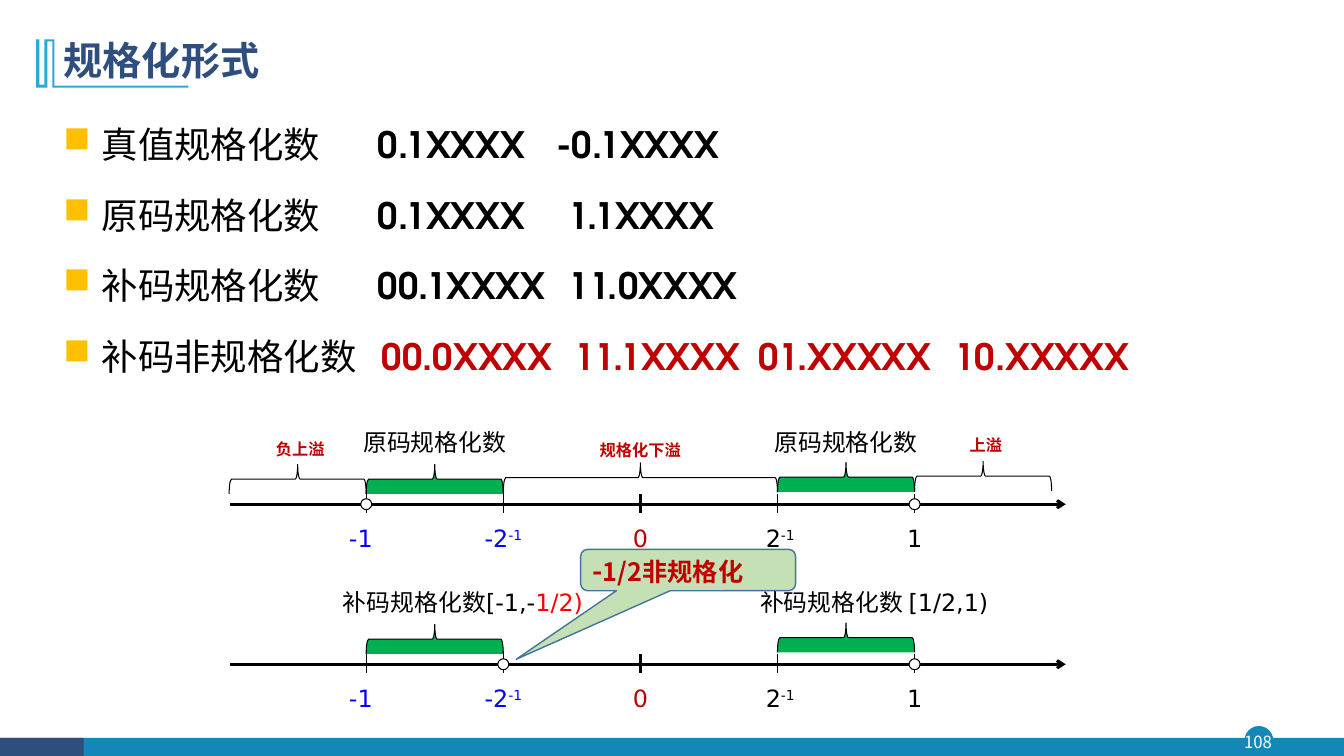
from dataclasses import dataclass

import pptx
import pptx.dml.color
import pptx.enum.shapes
import pptx.enum.text
import pptx.oxml.ns
import pptx.util
from lxml import etree

Align = pptx.enum.text.PP_ALIGN
Anchor = pptx.enum.text.MSO_ANCHOR
Preset = pptx.enum.shapes.MSO_SHAPE


@dataclass(frozen=True)
class Theme:
    blue: str = "1387B7"
    navy: str = "2E4E7E"
    sky: str = "28A9D6"
    amber: str = "FFC000"
    black: str = "000000"
    white: str = "FFFFFF"
    red: str = "C00000"
    bright_red: str = "FF0000"
    negative: str = "0000FF"
    green: str = "00B050"
    callout: str = "C5E0B4"
    callout_edge: str = "43739E"
    sans: str = "Noto Sans CJK SC"
    display: str = "TeX Gyre Adventor"
    plain: str = "DejaVu Sans"
    title: float = 28
    body: float = 26
    note: float = 20
    callout_text: float = 18
    label: float = 17
    page_number: float = 12
    thin: float = 0.75
    edge: float = 1
    thick: float = 2


@dataclass(frozen=True)
class Words:
    text: str
    font: str
    size: float
    colour: str = "000000"
    bold: bool = False
    raised: bool = False


@dataclass(frozen=True)
class Row:
    name: str
    codes: tuple[str, ...]
    stops: tuple[float, ...]
    colour: str


@dataclass(frozen=True)
class Tick:
    value: float
    label: tuple[Words, ...]
    width: float = 0.75
    nudge: float = 0


@dataclass(frozen=True)
class Brace:
    start: float
    end: float
    rise: float
    caption: tuple[Words, ...]
    caption_rise: float
    caption_width: float
    fill: str | None = None
    nudge: float = 0


@dataclass(frozen=True)
class NumberLine:
    level: float
    open_points: tuple[float, ...]
    braces: tuple[Brace, ...]


# Lengths are percentages of the slide's width and height
THEME = Theme()
WIDTH, HEIGHT = pptx.util.Inches(13.33), pptx.util.Inches(7.5)
ZERO, UNIT = 47.65, 20.4


def across(share: float) -> int:
    return round(WIDTH * share / 100)


def down(share: float) -> int:
    return round(HEIGHT * share / 100)


def place(value: float) -> float:
    return ZERO + UNIT * value


def rgb(colour: str) -> pptx.dml.color.RGBColor:
    return pptx.dml.color.RGBColor.from_string(colour)


def add_xml(parent, tag: str, **attributes: str):
    return etree.SubElement(parent, pptx.oxml.ns.qn(tag), attributes)


def style(span, words: Words) -> None:
    span.font.name, span.font.size = words.font, pptx.util.Pt(words.size)
    span.font.bold, span.font.color.rgb = words.bold, rgb(words.colour)
    properties = span._r.get_or_add_rPr()
    add_xml(properties, "a:ea", typeface=THEME.sans)
    if words.raised:
        properties.set("baseline", "30000")


def write(para, content: tuple[Words, ...]) -> None:
    for words in content:
        span = para.add_run()
        span.text = words.text
        style(span, words)


def add_shape(page, preset, left: float, top: float, width: float, height: float,
              fill: str | None, line: str | None = None, weight: float = THEME.edge):
    shape = page.shapes.add_shape(preset, across(left), down(top), across(width), down(height))
    paint(shape, fill, line, weight)
    return shape


def paint(shape, fill: str | None, line: str | None = None, weight: float = THEME.edge) -> None:
    shape.shadow.inherit = False
    if fill:
        shape.fill.solid()
        shape.fill.fore_color.rgb = rgb(fill)
    else:
        shape.fill.background()
    if line:
        shape.line.color.rgb, shape.line.width = rgb(line), pptx.util.Pt(weight)
    else:
        shape.line.fill.background()


def add_label(page, centre: float, top: float, width: float, height: float,
              content: tuple[Words, ...]):
    box = page.shapes.add_textbox(across(centre - width / 2), down(top), across(width), down(height))
    box.text_frame.word_wrap = True
    para = box.text_frame.paragraphs[0]
    para.alignment, para.line_spacing = Align.CENTER, 0.8
    write(para, content)
    return box


def add_line(page, start: tuple[float, float], end: tuple[float, float], weight: float,
             arrow: bool = False) -> None:
    line = page.shapes.add_connector(pptx.enum.shapes.MSO_CONNECTOR.STRAIGHT,
                                     across(start[0]), down(start[1]), across(end[0]), down(end[1]))
    line.line.color.rgb, line.line.width = rgb(THEME.black), pptx.util.Pt(weight)
    if arrow:
        add_xml(line.line._get_or_add_ln(), "a:tailEnd", type="arrow")
    add_xml(line._element.spPr, "a:effectLst")


def add_brace(page, brace: Brace, level: float) -> None:
    centre = place((brace.start + brace.end) / 2)
    length, depth = across(UNIT * (brace.end - brace.start)), down(3.9)
    shape = page.shapes.add_shape(Preset.RIGHT_BRACE, across(centre) - depth // 2,
                                  down(level - brace.rise) - length // 2, depth, length)
    shape.rotation = 270
    shape.adjustments[0] = 0.083
    paint(shape, brace.fill, THEME.black, THEME.thin)
    add_label(page, centre + brace.nudge, level - brace.caption_rise, brace.caption_width, 4.4,
              brace.caption)


def add_number_line(page, line: NumberLine, ticks: tuple[Tick, ...]) -> None:
    add_line(page, (17.1, line.level), (79.3, line.level), THEME.thick, arrow=True)
    for tick in ticks:
        spot = place(tick.value)
        add_line(page, (spot, line.level - 1.3), (spot, line.level + 1.1), tick.width)
        add_label(page, spot + tick.nudge, line.level + 2.67, 7.5, 4.4, tick.label)
    for value in line.open_points:
        add_shape(page, Preset.OVAL, place(value) - 0.41, line.level - 0.73, 0.82, 1.46,
                  THEME.white, THEME.black, THEME.thin)
    for brace in line.braces:
        add_brace(page, brace, line.level)


def add_frame(page) -> None:
    add_shape(page, Preset.OVAL, 92.65, 96.13, 2.03, 3.6, THEME.blue, THEME.blue)
    add_shape(page, Preset.RECTANGLE, 0, 97.6, 100, 2.4, THEME.blue)
    add_shape(page, Preset.RECTANGLE, 0, 97.6, 6.23, 2.4, THEME.navy)
    number = add_label(page, 93.6, 96.13, 2.4, 4.1,
                       (Words("108", THEME.sans, THEME.page_number, THEME.white),)).text_frame
    number.margin_left = number.margin_right = number.margin_top = number.margin_bottom = 0
    number.vertical_anchor, number.paragraphs[0].line_spacing = Anchor.MIDDLE, 1
    corners = [(4.05, 5.2), (4.05, 11.33), (14.03, 11.33), (14.03, 11.6), (3.9, 11.6), (3.9, 5.47),
               (3.53, 5.47), (3.53, 11.6), (2.7, 11.6), (2.7, 5.2), (2.93, 5.2), (2.93, 11.2),
               (3.3, 11.2), (3.3, 5.2)]
    outline = [(across(left), down(top)) for left, top in corners]
    builder = page.shapes.build_freeform(*outline[0])
    builder.add_line_segments(outline[1:], close=True)
    paint(builder.convert_to_shape(), THEME.sky)


def add_title(page, text: str) -> None:
    title = page.shapes.title
    title.left, title.top, title.width, title.height = across(3.98), down(3.73), across(86.27), down(9.07)
    title.text_frame.text = text
    title.text_frame.vertical_anchor = Anchor.MIDDLE
    para = title.text_frame.paragraphs[0]
    para.alignment, para.line_spacing = Align.LEFT, 0.9
    style(para.runs[0], Words(text, THEME.sans, THEME.title, THEME.navy, True))


def add_rows(page, rows: tuple[Row, ...]) -> None:
    frame = page.shapes.add_textbox(across(3.98), down(13.73), across(92.1), down(37.2)).text_frame
    frame.word_wrap = True
    indent = across(2.85)
    for index, row in enumerate(rows):
        para = frame.add_paragraph() if index else frame.paragraphs[0]
        para.line_spacing = 1.3
        if index:
            para.space_before = pptx.util.Pt(10)
        properties = para._p.get_or_add_pPr()
        properties.set("marL", str(indent))
        properties.set("indent", str(-indent))
        add_xml(add_xml(properties, "a:buClr"), "a:srgbClr", val=THEME.amber)
        add_xml(properties, "a:buChar", char="■")
        tabs = add_xml(properties, "a:tabLst")
        for stop in row.stops:
            add_xml(tabs, "a:tab", pos=str(across(stop)), algn="l")
        write(para, (Words(row.name, THEME.display, THEME.body),
                     *(Words("\t" + code, THEME.display, THEME.body, row.colour, True)
                       for code in row.codes)))


def label(text: str, colour: str = THEME.black, raised: bool = False) -> Words:
    return Words(text, THEME.plain, THEME.label, colour, raised=raised)


def note(text: str) -> tuple[Words, ...]:
    return (Words(text, THEME.sans, THEME.note, THEME.red, True, True),)


ROWS = (
    Row("真值规格化数", ("0.1XXXX", "-0.1XXXX"), (23.4, 36.7), THEME.black),
    Row("原码规格化数", ("0.1XXXX", "1.1XXXX"), (23.4, 37.6), THEME.black),
    Row("补码规格化数", ("00.1XXXX", "11.0XXXX"), (23.4, 37.6), THEME.black),
    Row("补码非规格化数", ("00.0XXXX", "11.1XXXX", "01.XXXXX", "10.XXXXX"),
        (23.7, 38, 51.7, 66.3), THEME.red),
)
TICKS = (
    Tick(-1, (label("-1", THEME.negative),), nudge=-0.4),
    Tick(-0.5, (label("-2", THEME.negative), label("-1", THEME.negative, True))),
    Tick(0, (label("0", THEME.red),), THEME.thick),
    Tick(0.5, (label("2"), label("-1", raised=True)), nudge=0.2),
    Tick(1, (label("1"),)),
)
SIGNED = (label("原码规格化数"),)
LINES = (
    NumberLine(66.7, (-1, 1), (
        Brace(-1, -0.5, 3.33, SIGNED, 10, 13.65, THEME.green),
        Brace(0.5, 1, 3.6, SIGNED, 10, 13.65, THEME.green),
        Brace(-0.5, 0.5, 3.53, note("规格化下溢"), 8.7, 8.85),
        Brace(1, 1.5, 3.73, note("上溢"), 9.3, 5.8, nudge=0.2),
        Brace(-1.5, -1, 3.33, note("负上溢"), 8.8, 5.8, nudge=0.2))),
    NumberLine(87.87, (-0.5, 1), (
        Brace(-1, -0.5, 3.33, (label("补码规格化数[-1,-"), label("1/2)", THEME.bright_red)),
              10, 22.4, THEME.green, 2.1),
        Brace(0.5, 1, 3.53, (label("补码规格化数 [1/2,1)"),), 10, 20.6, THEME.green, 2.1))),
)


def main() -> None:
    deck = pptx.Presentation()
    deck.slide_width, deck.slide_height = WIDTH, HEIGHT
    page = deck.slides.add_slide(deck.slide_layouts.get_by_name("Title Only"))
    add_frame(page)
    add_title(page, "规格化形式")
    add_rows(page, ROWS)
    for line in LINES:
        add_number_line(page, line, TICKS)
    # Callout on the open end of the lower line
    callout = add_shape(page, Preset.ROUNDED_RECTANGULAR_CALLOUT, 43.2, 72.67, 16, 5.47,
                        THEME.callout, THEME.callout_edge)
    for index, value in enumerate((-0.8, 2.16, 0.17)):
        callout.adjustments[index] = value
    callout.text_frame.vertical_anchor = Anchor.MIDDLE
    para = callout.text_frame.paragraphs[0]
    para.alignment = Align.LEFT
    write(para, (Words("-", THEME.sans, THEME.note, THEME.red, True),
                 Words("1/2非规格化", THEME.sans, THEME.callout_text, THEME.red, True)))
    deck.save("out.pptx")


if __name__ == "__main__":
    main()
